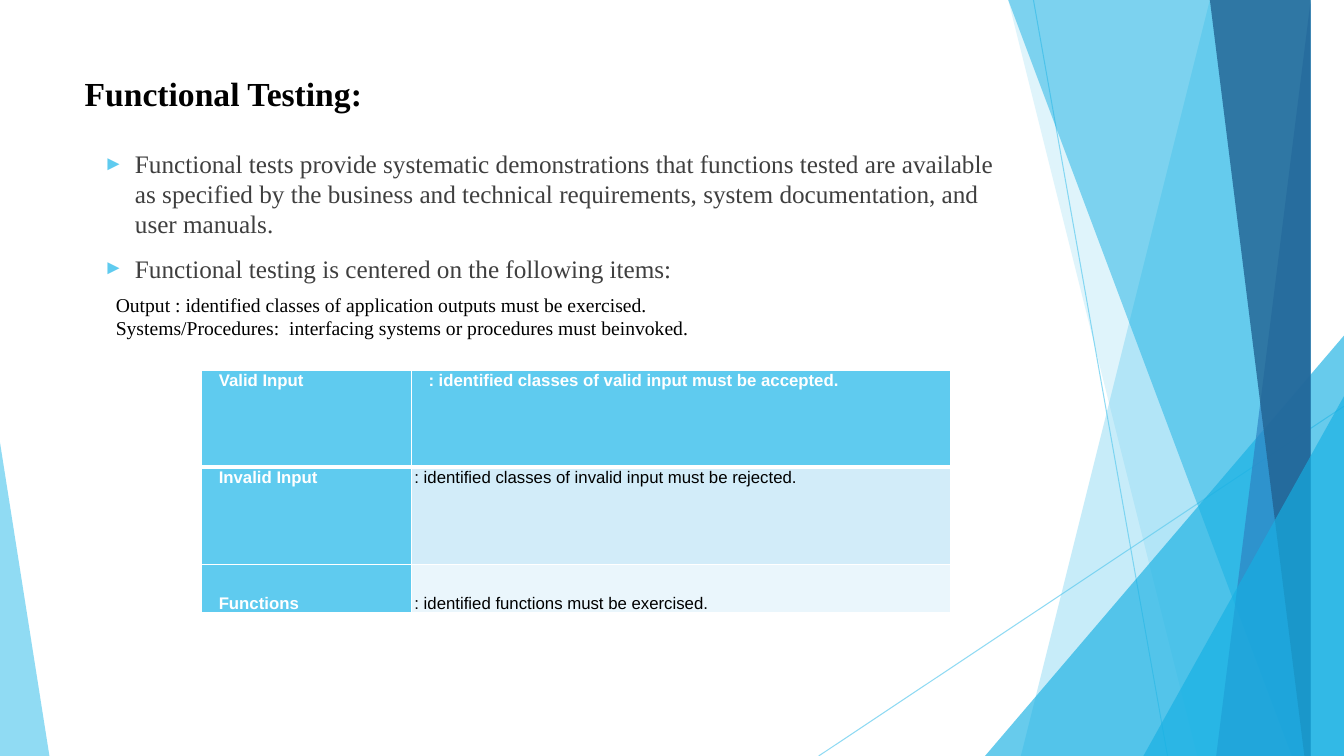
from lxml import etree
from pptx import Presentation
from pptx.dml.color import RGBColor
from pptx.enum import shapes, text
from pptx.oxml import ns
from pptx.util import Inches, Pt

WIDTH, HEIGHT = 13.33, 7.5
COLOURS = {
    "sky": "5FCBEF", "azure": "16B0E3", "blue": "2E83C3", "navy": "226292",
    "pale": "D2ECF9", "paler": "EAF6FC", "white": "FFFFFF", "black": "000000",
    "grey": "3F3F3F",
}
SERIF, SANS = "Times New Roman", "Arial"
TITLE_ONLY = 5

RAYS = [((10.25, 0), (11.58, HEIGHT)), ((WIDTH, 4.03), (8.12, HEIGHT))]

# Each facet: colour, opacity in percent, outline.
# Bands give the left edge (top x, bottom x); triangles give (box, apex share).
FACETS = [
    ("sky", 35, "band", (12.28, 10.04)),
    ("sky", 20, "band", (10.5, 11.82)),
    ("azure", 65, "triangle", ((9.77, 3.33, 3.56, 4.17), 1)),
    ("azure", 49, "band", (10.21, 12.91)),
    ("blue", 69, "band", (13.03, 11.92)),
    ("navy", 80, "band", (11.96, 13.18)),
    ("azure", 65, "triangle", ((11.34, 3.93, 1.99, 3.57), 1)),
    ("sky", 69, "triangle", ((0, 4.39, 0.49, 3.11), 0)),
]

BULLETS = [
    "Functional tests provide systematic demonstrations that functions tested are "
    "available as specified by the business and technical requirements, system "
    "documentation, and user manuals.",
    "Functional testing is centered on the following items:",
]
NOTES = [
    "Output : identified classes of application outputs must be exercised.",
    "Systems/Procedures:  interfacing systems or procedures must beinvoked.",
]
ROWS = [
    ("Valid Input", ": identified classes of valid input must be accepted."),
    ("Invalid Input", ": identified classes of invalid input must be rejected."),
    ("Functions", ": identified functions must be exercised."),
]


def colour(name):
    return RGBColor.from_string(COLOURS[name])


def add_child(parent, tag, **attributes):
    return etree.SubElement(parent, ns.qn(tag), attributes)


def set_alpha(fill_parent, percent):
    tone = next(fill_parent.iter(ns.qn("a:srgbClr")))
    add_child(tone, "a:alpha", val=str(percent * 1000))


def set_font(para, size, face, tone, bold=False):
    font = para.font
    font.size, font.name, font.bold = Pt(size), face, bold
    font.color.rgb = colour(tone)


def set_indent(para, margin, first_line):
    properties = para._p.get_or_add_pPr()
    properties.set("marL", str(Inches(margin)))
    properties.set("indent", str(Inches(first_line)))
    return properties


def place(shape, box):
    shape.left, shape.top, shape.width, shape.height = map(Inches, box)


def write_lines(frame, lines):
    frame.word_wrap = True
    frame.text = "\n".join(lines)
    return frame.paragraphs


def draw_backdrop(page):
    # Thin rays
    for start, end in RAYS:
        ray = page.shapes.add_connector(
            shapes.MSO_CONNECTOR.STRAIGHT, *map(Inches, start + end))
        ray.line.width = Pt(0.75)
        ray.line.color.rgb = colour("sky")
        properties = ray._element.spPr
        set_alpha(properties, 69)
        add_child(properties, "a:effectLst")

    # Translucent facets
    for tone, opacity, kind, outline in FACETS:
        if kind == "band":
            top_x, bottom_x = outline
            builder = page.shapes.build_freeform(top_x, 0, scale=Inches(1))
            builder.add_line_segments(
                [(WIDTH, 0), (WIDTH, HEIGHT), (bottom_x, HEIGHT)], close=True)
            facet = builder.convert_to_shape()
        else:
            box, apex = outline
            facet = page.shapes.add_shape(
                shapes.MSO_SHAPE.ISOSCELES_TRIANGLE, *map(Inches, box))
            facet.adjustments[0] = apex
        facet.shadow.inherit = False
        facet.line.fill.background()
        facet.fill.solid()
        facet.fill.fore_color.rgb = colour(tone)
        set_alpha(facet._element.spPr, opacity)


def write_title(page, box):
    title = page.shapes.title
    place(title, box)
    frame = title.text_frame
    frame.vertical_anchor = text.MSO_ANCHOR.TOP
    para = write_lines(frame, ["Functional Testing:"])[0]
    para.alignment = text.PP_ALIGN.LEFT
    set_font(para, 24, SERIF, "black", bold=True)


def write_bullets(page, box):
    frame = page.shapes.add_textbox(*map(Inches, box)).text_frame
    for para in write_lines(frame, BULLETS):
        set_font(para, 18, SERIF, "grey")
        para.space_before = Pt(10)
        properties = set_indent(para, 0.5, -0.31)
        tint = etree.Element(ns.qn("a:buClr"))
        add_child(tint, "a:srgbClr", val=COLOURS["sky"])
        marks = [tint]
        for tag, attributes in (("a:buSzPct", {"val": "80000"}),
                                ("a:buFont", {"typeface": SANS}),
                                ("a:buChar", {"char": "►"})):
            marks.append(etree.Element(ns.qn(tag), attributes))
        # Bullet marks follow the spacing and precede the run defaults
        position = properties.index(properties.find(ns.qn("a:defRPr")))
        properties[position:position] = marks


def write_notes(page, box):
    frame = page.shapes.add_textbox(*map(Inches, box)).text_frame
    frame.vertical_anchor = text.MSO_ANCHOR.MIDDLE
    for para in write_lines(frame, NOTES):
        set_font(para, 14, SERIF, "black")
        set_indent(para, 0, 0.01)


def add_borders(cell, header):
    properties = cell._tc.get_or_add_tcPr()
    widths = {"L": 1, "R": 1, "T": 1, "B": 3 if header else 1}
    for side, width in widths.items():
        edge = add_child(properties, f"a:ln{side}", w=str(Pt(width)))
        add_child(add_child(edge, "a:solidFill"), "a:srgbClr", val=COLOURS["white"])


def draw_table(page, box):
    table = page.shapes.add_table(len(ROWS), 2, *map(Inches, box)).table
    for column, share in zip(table.columns, (0.28, 0.72)):
        column.width = Inches(box[2] * share)
    for row, share in zip(table.rows, (0.4, 0.4, 0.2)):
        row.height = Inches(box[3] * share)

    for r, words in enumerate(ROWS):
        for c, label in enumerate(words):
            cell = table.cell(r, c)
            heading = r == 0 or c == 0
            add_borders(cell, header=r == 0)
            cell.fill.solid()
            cell.fill.fore_color.rgb = colour("sky" if heading else ("pale", "paler")[r - 1])
            cell.margin_left = cell.margin_right = cell.margin_top = cell.margin_bottom = 0
            last = r == len(ROWS) - 1
            cell.vertical_anchor = text.MSO_ANCHOR.BOTTOM if last else text.MSO_ANCHOR.TOP
            cell.text = label
            para = cell.text_frame.paragraphs[0]
            para.line_spacing = 1.07
            set_font(para, 12, SANS, "white" if heading else "black", bold=heading)
            set_indent(para, 0.16 if heading else 0.02, 0.01)


def main():
    deck = Presentation()
    deck.slide_width, deck.slide_height = Inches(WIDTH), Inches(HEIGHT)
    page = deck.slides.add_slide(deck.slide_layouts[TITLE_ONLY])
    left, width = 0.74, 9.4
    draw_backdrop(page)
    write_title(page, (left, 0.67, width, 0.75))
    write_bullets(page, (left, 1.42, width, 5.19))
    draw_table(page, (2, 3.67, 7.43, 2.41))
    write_notes(page, (left + 0.3, 2.78, width, 0.71))
    deck.save("out.pptx")


if __name__ == "__main__":
    main()
